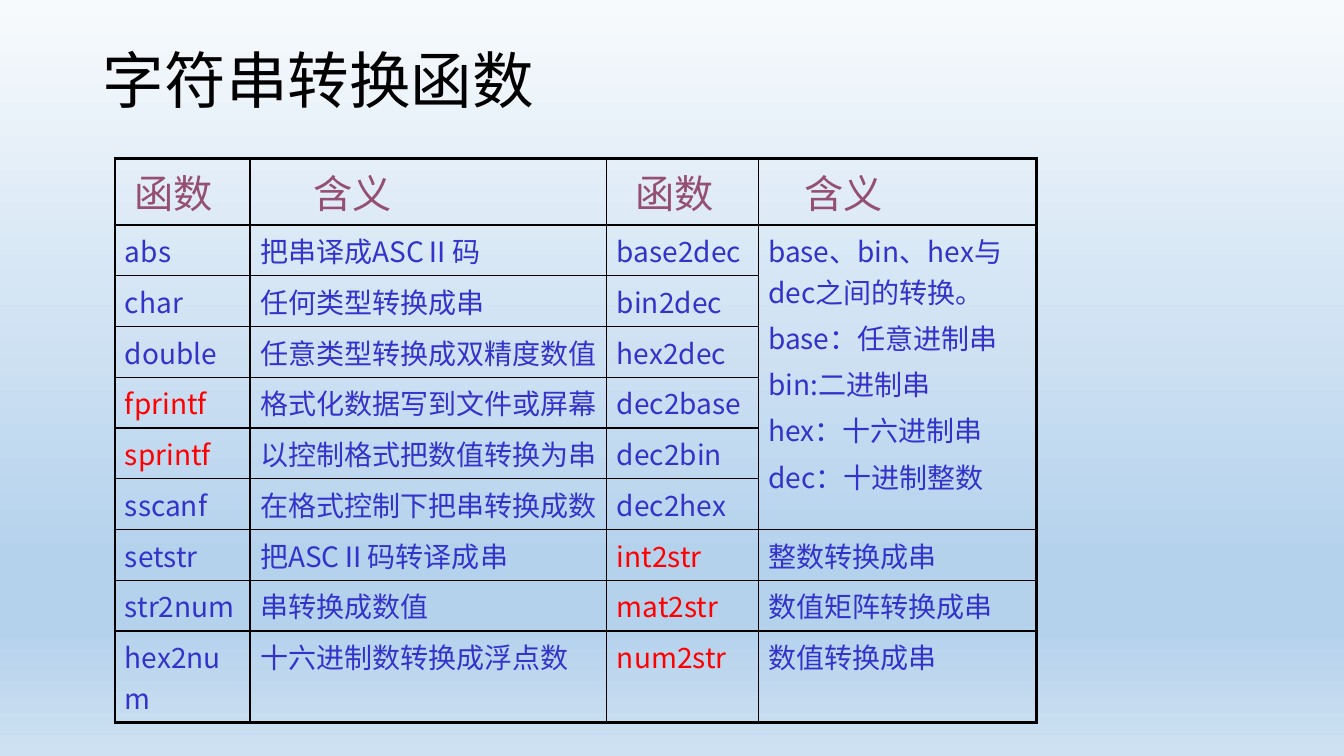
from typing import NamedTuple

from lxml.etree import SubElement as Sub
from pptx import Presentation
from pptx.dml.color import RGBColor as Rgb
from pptx.enum.text import MSO_ANCHOR as Anchor, PP_ALIGN as Align
from pptx.oxml.ns import qn
from pptx.util import Inches, Pt

WIDE, HIGH = Inches(13.33), Inches(7.5)
CJK = "Noto Sans CJK SC"
BLACK, BLUE, RED, PLUM = "000000", "3333CC", "FF0000", "954F72"
THIN, THICK = 1, 2.25
PAD = 0.75
SKY = [(0, "F7FAFD"), (74, "B5D2EC"), (83, "B5D2EC"), (100, "CEE1F2")]


class Column(NamedTuple):
    head: str
    width: float
    inset: float


class Entry(NamedTuple):
    name: str
    sense: str
    other: str
    note: str = ""


COLUMNS = [
    Column("函数", 10.05, 0.7),
    Column("含义", 26.56, 4),
    Column("函数", 11.25, 1.4),
    Column("含义", 20.7, 2.7),
]
BASES = "\n".join([
    "base、bin、hex与dec之间的转换。",
    "base：任意进制串",
    "bin:二进制串",
    "hex：十六进制串",
    "dec：十进制整数",
])
ENTRIES = [
    Entry("abs", "把串译成ASCⅡ码", "base2dec", BASES),
    Entry("char", "任何类型转换成串", "bin2dec"),
    Entry("double", "任意类型转换成双精度数值", "hex2dec"),
    Entry("fprintf", "格式化数据写到文件或屏幕", "dec2base"),
    Entry("sprintf", "以控制格式把数值转换为串", "dec2bin"),
    Entry("sscanf", "在格式控制下把串转换成数", "dec2hex"),
    Entry("setstr", "把ASCⅡ码转译成串", "int2str", "整数转换成串"),
    Entry("str2num", "串转换成数值", "mat2str", "数值矩阵转换成串"),
    Entry("hex2num", "十六进制数转换成浮点数", "num2str", "数值转换成串"),
]
MARKED = {"fprintf", "sprintf", "int2str", "mat2str", "num2str"}
SPAN = 6


def across(share: float) -> int:
    """Length from a percentage of the slide's width."""
    return round(WIDE * share / 100)


def down(share: float) -> int:
    """Length from a percentage of the slide's height."""
    return round(HIGH * share / 100)


def color(code: str) -> Rgb:
    return Rgb.from_string(code)


def style(para, face: str, size: float, code: str) -> None:
    font = para.font
    font.name, font.size, font.color.rgb = face, Pt(size), color(code)
    Sub(font._element, qn("a:ea"), typeface=CJK)


def paint(slide) -> None:
    """Fill the background with the sky gradient, top to bottom."""
    fill = slide.background.fill
    fill.gradient()
    fill.gradient_angle = 270
    stops = slide.background._cSld.find(".//" + qn("a:gsLst"))
    for stop in list(stops):
        stops.remove(stop)
    for place, code in SKY:
        stop = Sub(stops, qn("a:gs"), pos=str(place * 1000))
        Sub(stop, qn("a:srgbClr"), val=code)


def border(cell, row: int, col: int) -> None:
    """Draw thin cell edges, and thick ones round the table."""
    outer = {"L": col == 0, "R": col == len(COLUMNS) - 1,
             "T": row == 0, "B": row == len(ENTRIES)}
    props = cell._tc.get_or_add_tcPr()
    for side, edge in outer.items():
        width = Pt(THICK if edge else THIN)
        line = Sub(props, qn("a:ln" + side), w=str(width))
        Sub(Sub(line, qn("a:solidFill")), qn("a:srgbClr"), val=BLACK)


def write(cell, text: str, size: float, code: str, inset: float = 0) -> None:
    cell.margin_left = across(PAD + inset)
    cell.text = text
    for i, para in enumerate(cell.text_frame.paragraphs):
        if i:
            para.space_before = Pt(size / 5)
        style(para, CJK, size, code)


def add_title(slide) -> None:
    title = slide.shapes.title
    title.left, title.top = across(6.9), down(5.33)
    title.width, title.height = across(86.27), down(11.47)
    title.text = "字符串转换函数"
    title.text_frame.vertical_anchor = Anchor.MIDDLE
    para = title.text_frame.paragraphs[0]
    para.alignment, para.line_spacing = Align.LEFT, 0.9
    style(para, "Calibri", 44, BLACK)


def add_grid(slide) -> None:
    total = sum(column.width for column in COLUMNS)
    table = slide.shapes.add_table(
        len(ENTRIES) + 1, len(COLUMNS), across(8.55), down(20.93),
        across(total), down(60.8)).table
    table.first_row = table.horz_banding = False
    for row in table.rows:
        row.height = down(5.9)
    for i, column in enumerate(COLUMNS):
        table.columns[i].width = across(column.width)
        write(table.cell(0, i), column.head, 28, PLUM, column.inset)
    for r, entry in enumerate(ENTRIES, 1):
        for c, text in enumerate(entry):
            if text:
                write(table.cell(r, c), text, 20,
                      RED if text in MARKED else BLUE)
    for r in range(len(ENTRIES) + 1):
        for c in range(len(COLUMNS)):
            border(table.cell(r, c), r, c)
            table.cell(r, c).fill.background()
    last = len(COLUMNS) - 1
    table.cell(1, last).merge(table.cell(SPAN, last))


def main() -> None:
    deck = Presentation()
    deck.slide_width, deck.slide_height = WIDE, HIGH
    slide = deck.slides.add_slide(deck.slide_layouts[5])
    paint(slide)
    add_title(slide)
    add_grid(slide)
    deck.save("out.pptx")


if __name__ == "__main__":
    main()
